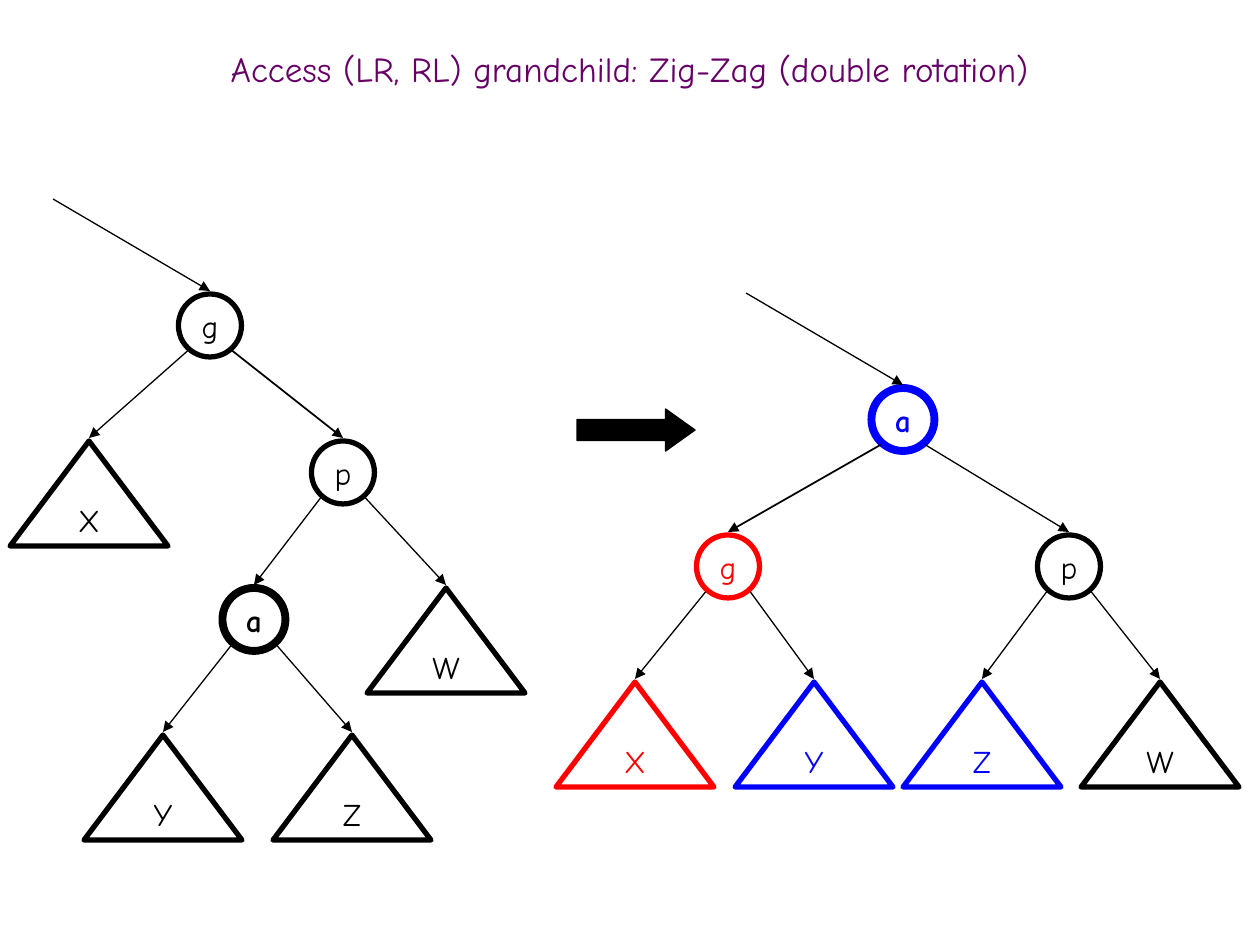
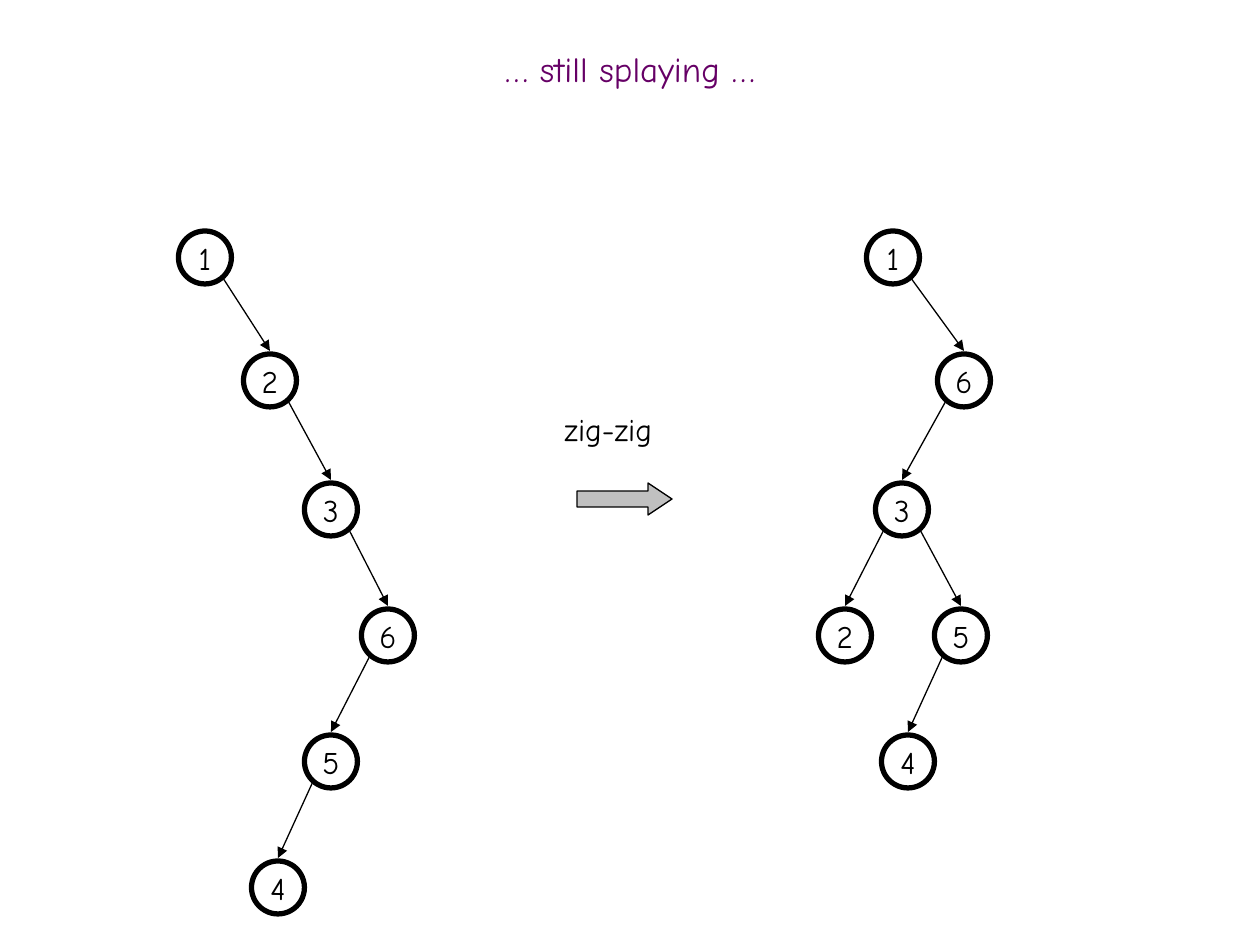
from dataclasses import dataclass

from lxml import etree
from pptx import Presentation
from pptx.dml.color import RGBColor
from pptx.enum.shapes import MSO_CONNECTOR, MSO_SHAPE
from pptx.enum.text import MSO_ANCHOR, MSO_AUTO_SIZE, PP_ALIGN
from pptx.oxml.ns import qn
from pptx.util import Emu, Pt

PX = 914400 / 126
SLIDE_W, SLIDE_H = 1260, 945

BLACK = RGBColor(0x00, 0x00, 0x00)
RED = RGBColor(0xFF, 0x00, 0x00)
BLUE = RGBColor(0x00, 0x00, 0xFF)
GREY = RGBColor(0xC0, 0xC0, 0xC0)
PURPLE = RGBColor(0x66, 0x00, 0x66)

FONT = "Comic Neue"
CIRCLE, TRIANGLE = MSO_SHAPE.OVAL, MSO_SHAPE.ISOSCELES_TRIANGLE
RIGHT_ARROW = MSO_SHAPE.RIGHT_ARROW
STRAIGHT = MSO_CONNECTOR.STRAIGHT
CENTER, LEFT = PP_ALIGN.CENTER, PP_ALIGN.LEFT
MIDDLE, TOP = MSO_ANCHOR.MIDDLE, MSO_ANCHOR.TOP

SUBTREE_W, SUBTREE_H = 158, 105
EDGE_GAP = 3
ENTRY_DX, ENTRY_DY = 157, 92


@dataclass(frozen=True)
class Node:
    """A tree node, placed by its centre x and its level; parent is a label."""
    label: str
    cx: int
    level: int
    parent: str = ""
    color: RGBColor = BLACK
    accessed: bool = False
    subtree: bool = False
    edge_width: float = 0.75


@dataclass(frozen=True)
class Tree:
    nodes: list[Node]
    level_tops: list[int]
    diameter: int
    has_entry: bool = False


@dataclass(frozen=True)
class StepArrow:
    x: int
    y: int
    w: int
    h: int
    head: float
    fill: RGBColor


def px(n: float) -> Emu:
    return Emu(round(n * PX))


def box(x: float, y: float, w: float, h: float) -> tuple[Emu, ...]:
    return px(x), px(y), px(w), px(h)


def write(sp, text: str, *, size=18, color=BLACK, bold=False, align=CENTER,
          anchor=MIDDLE, wrap=False, spacing=None) -> None:
    tf = sp.text_frame
    tf.word_wrap = wrap
    tf.vertical_anchor = anchor
    p = tf.paragraphs[0]
    p.alignment = align
    if spacing:
        p.line_spacing = spacing
    r = p.add_run()
    r.text = text
    r.font.name = FONT
    r.font.size = Pt(size)
    r.font.bold = bold
    r.font.color.rgb = color


def add_arrow(s, x1: float, y1: float, x2: float, y2: float,
              width: float = 0.75) -> None:
    cn = s.shapes.add_connector(STRAIGHT, px(x1), px(y1), px(x2), px(y2))
    cn.line.color.rgb = BLACK
    cn.line.width = Pt(width)
    etree.SubElement(cn.line._get_or_add_ln(), qn("a:tailEnd"), type="triangle")
    etree.SubElement(cn._element.spPr, qn("a:effectLst"))


def add_node(s, node: Node, top: int, diameter: int) -> None:
    w, h = (SUBTREE_W, SUBTREE_H) if node.subtree else (diameter, diameter)
    kind = TRIANGLE if node.subtree else CIRCLE
    sp = s.shapes.add_shape(kind, *box(node.cx - w / 2, top, w, h))
    sp.shadow.inherit = False
    sp.fill.background()
    sp.line.color.rgb = node.color
    sp.line.width = Pt(4.5 if node.accessed else 3)
    write(sp, node.label, color=node.color, bold=node.accessed)


def add_edge(s, parent: Node, child: Node, tree: Tree) -> None:
    """Run from the parent's lower diagonal to just above the child."""
    radius = tree.diameter / 2
    reach = radius * 0.71
    side = 1 if child.cx > parent.cx else -1
    start_y = tree.level_tops[parent.level] + radius + reach + EDGE_GAP
    end_y = tree.level_tops[child.level] - EDGE_GAP
    add_arrow(s, parent.cx + side * reach, start_y, child.cx, end_y,
              child.edge_width)


def add_tree(s, tree: Tree) -> None:
    by_label = {node.label: node for node in tree.nodes}
    for node in tree.nodes:
        top = tree.level_tops[node.level]
        add_node(s, node, top, tree.diameter)
        if node.parent:
            add_edge(s, by_label[node.parent], node, tree)
        elif tree.has_entry:
            end_y = top - EDGE_GAP
            add_arrow(s, node.cx - ENTRY_DX, end_y - ENTRY_DY, node.cx, end_y)


def add_step_arrow(s, arrow: StepArrow) -> None:
    sp = s.shapes.add_shape(RIGHT_ARROW,
                            *box(arrow.x, arrow.y, arrow.w, arrow.h))
    sp.adjustments[1] = arrow.head
    sp.shadow.inherit = False
    sp.fill.solid()
    sp.fill.fore_color.rgb = arrow.fill
    sp.line.color.rgb = BLACK
    sp.line.width = Pt(0.75)


def add_slide(prs, title: str, arrow: StepArrow, trees: list[Tree]):
    s = prs.slides.add_slide(prs.slide_layouts[6])
    write(s.shapes.add_textbox(*box(0, 42, SLIDE_W, 63)), title,
          size=20, color=PURPLE, wrap=True, spacing=0.7)
    add_step_arrow(s, arrow)
    for tree in trees:
        add_tree(s, tree)
    return s


ZIG_ZAG_BEFORE = Tree([
    Node("g", 210, 0),
    Node("X", 89, 1, "g", subtree=True),
    Node("p", 343, 1, "g", edge_width=1),
    Node("a", 254, 2, "p", accessed=True),
    Node("W", 446, 2, "p", subtree=True),
    Node("Y", 163, 3, "a", subtree=True),
    Node("Z", 352, 3, "a", subtree=True),
], [294 + 147 * i for i in range(4)], 63, has_entry=True)

ZIG_ZAG_AFTER = Tree([
    Node("a", 903, 0, color=BLUE, accessed=True),
    Node("g", 728, 1, "a", RED, edge_width=1),
    Node("p", 1069, 1, "a"),
    Node("X", 635, 2, "g", RED, subtree=True),
    Node("Y", 814, 2, "g", BLUE, subtree=True),
    Node("Z", 982, 2, "p", BLUE, subtree=True),
    Node("W", 1160, 2, "p", subtree=True),
], [388 + 147 * i for i in range(3)], 63, has_entry=True)

SPLAY_TOPS = [231, 354] + [483 + 126 * i for i in range(4)]

ZIG_ZIG_BEFORE = Tree([
    Node("1", 205, 0),
    Node("2", 270, 1, "1"),
    Node("3", 331, 2, "2"),
    Node("6", 388, 3, "3"),
    Node("5", 331, 4, "6"),
    Node("4", 278, 5, "5"),
], SPLAY_TOPS, 53)

ZIG_ZIG_AFTER = Tree([
    Node("1", 893, 0),
    Node("6", 964, 1, "1"),
    Node("3", 902, 2, "6"),
    Node("2", 845, 3, "3"),
    Node("5", 961, 3, "3"),
    Node("4", 908, 4, "5"),
], SPLAY_TOPS, 53)


def main() -> None:
    prs = Presentation()
    prs.slide_width, prs.slide_height = px(SLIDE_W), px(SLIDE_H)

    add_slide(prs, "Access (LR, RL) grandchild: Zig-Zag (double rotation)",
              StepArrow(577, 409, 118, 42, 0.7, BLACK),
              [ZIG_ZAG_BEFORE, ZIG_ZAG_AFTER])

    s = add_slide(prs, "… still splaying …",
                  StepArrow(577, 483, 95, 32, 0.75, GREY),
                  [ZIG_ZIG_BEFORE, ZIG_ZIG_AFTER])
    step_name = s.shapes.add_textbox(*box(552, 404, 123, 50))
    write(step_name, "zig-zig", align=LEFT, anchor=TOP)
    step_name.text_frame.auto_size = MSO_AUTO_SIZE.SHAPE_TO_FIT_TEXT

    prs.save("out.pptx")


if __name__ == "__main__":
    main()
